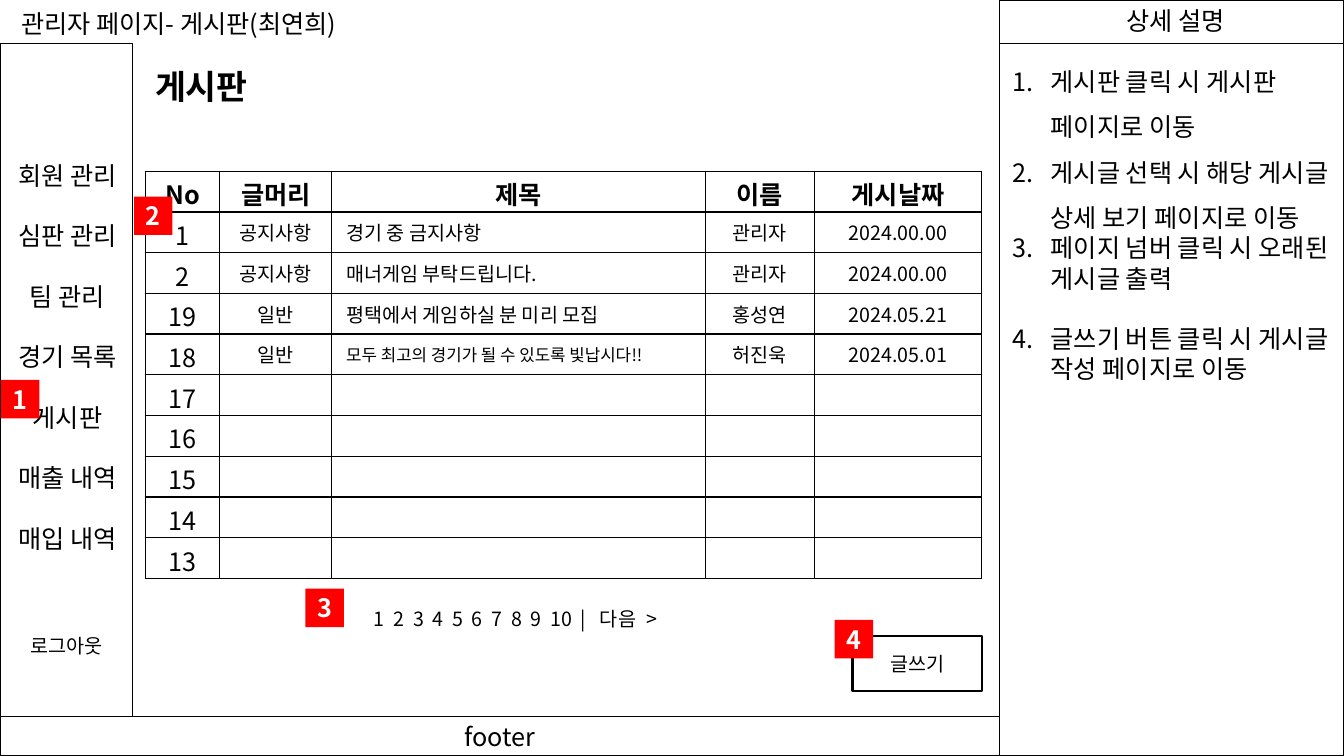
from lxml import etree
from pptx import Presentation
from pptx import util as u
from pptx.dml.color import RGBColor
from pptx.enum import shapes, text
from pptx.oxml import parse_xml
from pptx.oxml.ns import nsdecls, qn

Pt = u.Pt
FONT = "Noto Sans CJK KR"
COLORS = {"ink": "000000", "paper": "FFFFFF", "badge": "FF0000"}
LEFT, CENTER = text.PP_ALIGN.LEFT, text.PP_ALIGN.CENTER
MIDDLE = text.MSO_ANCHOR.MIDDLE


def rgb(name):
    return RGBColor.from_string(COLORS[name])


class Wireframe:
    def __init__(self, prs):
        self.slide = prs.slides.add_slide(prs.slide_layouts[6])

    def put_text(self, p, words, size=18, bold=False, color="ink", align=LEFT, line=None):
        p.alignment = align
        if line:
            p.line_spacing = Pt(line)
        r = p.add_run()
        r.text = words
        r.font.size, r.font.bold, r.font.name = Pt(size), bold, FONT
        r.font.color.rgb = rgb(color)
        etree.SubElement(r.font._element, qn("a:ea")).set("typeface", FONT)

    def box(self, x, y, w, h, words=None, fill="paper", border=1, **style):
        sp = self.slide.shapes.add_shape(
            shapes.MSO_SHAPE.RECTANGLE, Pt(x), Pt(y), Pt(w), Pt(h))
        sp.shadow.inherit = False
        sp.fill.solid()
        sp.fill.fore_color.rgb = rgb(fill)
        if border:
            sp.line.color.rgb = rgb("ink")
            sp.line.width = Pt(border)
        else:
            sp.line.fill.background()
        tf = sp.text_frame
        tf.vertical_anchor = MIDDLE
        if words:
            self.put_text(tf.paragraphs[0], words, **{"align": CENTER, **style})
        return sp

    def label(self, x, y, w, h, lines, gap=0, wrap=True, size=18, **style):
        tf = self.slide.shapes.add_textbox(Pt(x), Pt(y), Pt(w), Pt(h)).text_frame
        tf.word_wrap = wrap
        for i, words in enumerate(lines):
            p = tf.add_paragraph() if i else tf.paragraphs[0]
            if i and gap:
                p.space_before = Pt(gap)
            self.put_text(p, words, size=size, line=size * 1.2, **style)

    def numbered(self, x, y, w, h, items):
        tf = self.slide.shapes.add_textbox(Pt(x), Pt(y), Pt(w), Pt(h)).text_frame
        tf.word_wrap = True
        for i, (words, line, before) in enumerate(items):
            p = tf.add_paragraph() if i else tf.paragraphs[0]
            pPr = p._p.get_or_add_pPr()
            pPr.set("marL", str(Pt(27)))
            pPr.set("indent", str(Pt(-27)))
            etree.SubElement(pPr, qn("a:buFont")).set("typeface", "+mj-lt")
            etree.SubElement(pPr, qn("a:buAutoNum")).set("type", "arabicPeriod")
            if before:
                p.space_before = Pt(before)
            self.put_text(p, words, line=line)

    def pager(self, x, y, w, h, words, stops, inset):
        sp = self.box(x, y, w, h, border=0)
        sp.text_frame.margin_left = Pt(inset)
        p = sp.text_frame.paragraphs[0]
        tabs = etree.SubElement(p._p.get_or_add_pPr(), qn("a:tabLst"))
        for stop in stops:
            etree.SubElement(tabs, qn("a:tab"), pos=str(Pt(stop)), algn="l")
        self.put_text(p, "\t".join(words), size=14)

    def cell(self, cell, words="", size=18, indent=None, **style):
        cell.fill.solid()
        cell.fill.fore_color.rgb = rgb("paper")
        cell.vertical_anchor = MIDDLE
        if size == 18:
            cell.margin_top, cell.margin_bottom = Pt(3), 0
        if indent:
            cell.margin_left = Pt(indent)
        if words:
            line = 26 if size == 18 else None
            self.put_text(cell.text_frame.paragraphs[0], words, size=size, line=line, **style)
        tcPr = cell._tc.get_or_add_tcPr()
        for i, side in enumerate(("lnL", "lnR", "lnT", "lnB")):
            tcPr.insert(i, parse_xml(
                f'<a:{side} {nsdecls("a")} w="{Pt(1)}"><a:solidFill>'
                f'<a:srgbClr val="{COLORS["ink"]}"/></a:solidFill></a:{side}>'))

    def board(self, x, y, widths, row_height, rows):
        table = self.slide.shapes.add_table(
            len(rows), len(widths), Pt(x), Pt(y),
            Pt(sum(widths)), Pt(row_height * len(rows))).table
        table.first_row = table.horz_banding = False
        for column, width in zip(table.columns, widths):
            column.width = Pt(width)
        for i, row in enumerate(rows):
            table.rows[i].height = Pt(row_height)
            for j, words in enumerate(row):
                subject = i > 0 and j == 2
                size = 18 if i == 0 or j == 0 or not words else 14
                if words.endswith("!!"):
                    size = 12
                self.cell(table.cell(i, j), words, size, bold=i == 0,
                          indent=10.4 if subject else None,
                          align=LEFT if subject else CENTER)


def main():
    prs = Presentation()
    prs.slide_width, prs.slide_height = Pt(960), Pt(540)
    s = Wireframe(prs)

    # Description panel
    s.box(714, 31, 246, 509)
    s.box(714, 0, 246, 31)
    s.label(797.6, 0, 93.6, 29, ["상세 설명"], wrap=False)

    # Page title and sidebar
    s.label(8, 2.2, 264, 29, ["관리자 페이지- 게시판(최연희)"], wrap=False)
    s.box(0.4, 31, 94.3, 481)
    s.label(14.4, 449.3, 94.3, 24.5, ["로그아웃"], size=14)
    s.label(103.7, 43.2, 211.7, 36, ["게시판"], size=24, bold=True)

    # Description list: words, line height, space before
    s.numbered(716.4, 33.1, 247, 341, [
        ("게시판 클릭 시 게시판 페이지로 이동", 32.4, 0),
        ("게시글 선택 시 해당 게시글 상세 보기 페이지로 이동", 32.4, 0),
        ("페이지 넘버 클릭 시 오래된 게시글 출력", 21.6, 0),
        ("글쓰기 버튼 클릭 시 게시글 작성 페이지로 이동", 21.6, 21.6),
    ])

    # Menu and footer
    menu = ["회원 관리", "심판 관리", "팀 관리", "경기 목록", "게시판", "매출 내역", "매입 내역"]
    s.label(-10.8, 110.9, 118, 312.5, menu, gap=21.6, align=CENTER)
    s.box(0, 512, 714, 28, "footer")

    # Post list
    posts = [
        ["No", "글머리", "제목", "이름", "게시날짜"],
        ["1", "공지사항", "경기 중 금지사항", "관리자", "2024.00.00"],
        ["2", "공지사항", "매너게임 부탁드립니다.", "관리자", "2024.00.00"],
        ["19", "일반", "평택에서 게임하실 분 미리 모집", "홍성연", "2024.05.21"],
        ["18", "일반", "모두 최고의 경기가 될 수 있도록 빛납시다!!", "허진욱", "2024.05.01"],
    ]
    posts += [[str(n), "", "", "", ""] for n in range(17, 12, -1)]
    s.board(103.7, 122.3, [53.4, 79.9, 267, 77.8, 119.5], 29.1, posts)

    # Write button and page numbers
    s.box(609, 454.3, 92.4, 39.6, "글쓰기", border=1.5, size=14)
    pages = [str(n) for n in range(1, 11)] + ["|", "다음", ">"]
    stops = [14 * n for n in range(1, 10)] + [147.5, 161.5, 194.5]
    s.pager(195.1, 424.8, 347.8, 34.6, pages, stops, inset=72)

    # Numbered badges
    badges = [(0.7, 271.4), (95.8, 140.4), (218.2, 420.5), (596.2, 442.8)]
    for n, (x, y) in enumerate(badges, 1):
        s.box(x, y, 27.4, 27.4, str(n), fill="badge", border=0, bold=True, color="paper")

    prs.save("out.pptx")


if __name__ == "__main__":
    main()
